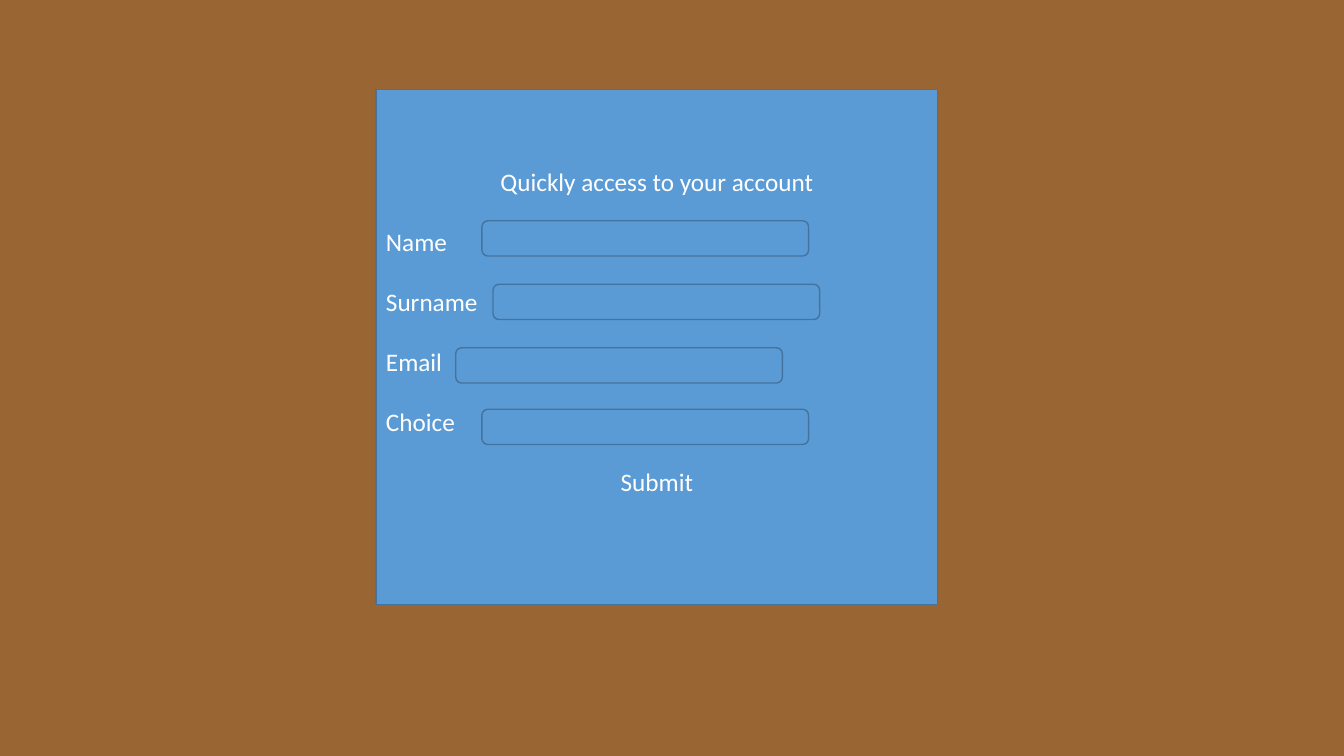
import dataclasses

import pptx
import pptx.dml.color
import pptx.enum.shapes
import pptx.enum.text
import pptx.util

Inches = pptx.util.Inches
Pt = pptx.util.Pt
Shapes = pptx.enum.shapes.MSO_SHAPE
Align = pptx.enum.text.PP_ALIGN


@dataclasses.dataclass(frozen=True)
class Theme:
    """Colours and type of the slide."""
    background: str = "996633"
    panel: str = "5B9BD5"
    outline: str = "43739E"
    text: str = "FFFFFF"
    font: str = "Calibri"
    size: float = 18
    line_width: float = 1
    row_gap: float = 21.2


THEME = Theme()
PANEL_BOX = (3.73, 0.89, 5.57, 5.11)
FIELD_SIZE = (3.24, 0.35)
TITLE = "Quickly access to your account"
BUTTON = "Submit"
FIELDS = {
    "Name": (1.05, 1.3),
    "Surname": (1.16, 1.93),
    "Email": (0.79, 2.56),
    "Choice": (1.05, 3.17),
}


def colour(value):
    """Turn a hex value into a colour."""
    return pptx.dml.color.RGBColor.from_string(value)


def apply_format(target, values):
    """Set each attribute of the target from a dict."""
    for name, value in values.items():
        setattr(target, name, value)


def add_box(slide, kind, box):
    """Add a filled and outlined shape."""
    shape = slide.shapes.add_shape(kind, *map(Inches, box))
    shape.shadow.inherit = False
    shape.fill.solid()
    shape.fill.fore_color.rgb = colour(THEME.panel)
    shape.line.color.rgb = colour(THEME.outline)
    shape.line.width = Pt(THEME.line_width)
    return shape


def add_panel_text(panel):
    """Write the heading, the field labels and the button label."""
    frame = panel.text_frame
    apply_format(frame, {
        "word_wrap": True,
        "vertical_anchor": pptx.enum.text.MSO_ANCHOR.TOP,
        "margin_top": Inches(0.76),
    })
    for index, text in enumerate([TITLE, *FIELDS, BUTTON]):
        paragraph = frame.add_paragraph() if index else frame.paragraphs[0]
        apply_format(paragraph, {
            "alignment": Align.LEFT if text in FIELDS else Align.CENTER,
            "space_before": Pt(THEME.row_gap if index else 0),
        })
        run = paragraph.add_run()
        run.text = text
        apply_format(run.font, {"name": THEME.font, "size": Pt(THEME.size)})
        run.font.color.rgb = colour(THEME.text)


def add_form(slide, box):
    """Draw the form panel with its labels and input fields."""
    left, top = box[:2]
    add_panel_text(add_box(slide, Shapes.RECTANGLE, box))
    for field_left, field_top in FIELDS.values():
        field_box = (left + field_left, top + field_top, *FIELD_SIZE)
        add_box(slide, Shapes.ROUNDED_RECTANGLE, field_box)


def main():
    """Build and save the presentation."""
    presentation = pptx.Presentation()
    apply_format(presentation, {
        "slide_width": Inches(13.33),
        "slide_height": Inches(7.5),
    })
    slide = presentation.slides.add_slide(presentation.slide_layouts[6])
    slide.background.fill.solid()
    slide.background.fill.fore_color.rgb = colour(THEME.background)
    add_form(slide, PANEL_BOX)
    presentation.save("out.pptx")


if __name__ == "__main__":
    main()
